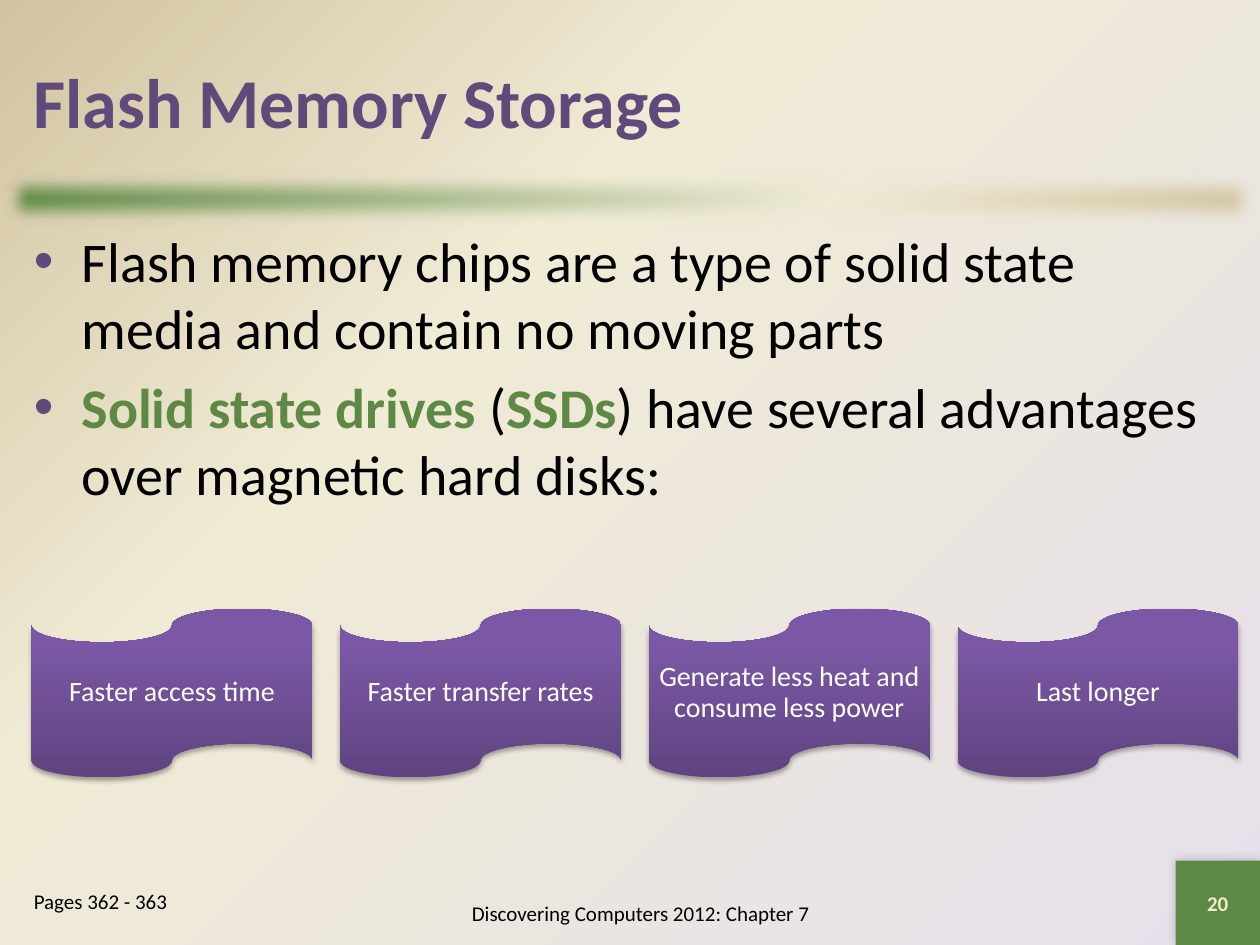
from dataclasses import dataclass

from lxml import etree
from pptx import Presentation
from pptx.dml.color import RGBColor
from pptx.enum import shapes, text
from pptx.oxml import ns
from pptx.util import Inches, Pt

FONT = "Calibri"
PURPLE = RGBColor(0x60, 0x4A, 0x7B)
GREEN = RGBColor(0x5E, 0x89, 0x45)
CREAM = RGBColor(0xF0, 0xEB, 0xD5)
TAN = RGBColor(0xD1, 0xC3, 0x9F)
LILAC = RGBColor(0xE6, 0xE0, 0xEC)
PALE = RGBColor(0xEE, 0xEB, 0xCA)
BLACK = RGBColor(0, 0, 0)
WHITE = RGBColor(0xFF, 0xFF, 0xFF)
TAPE = [(0, RGBColor(0x5F, 0x44, 0x80)), (80, RGBColor(0x7B, 0x58, 0xA6)),
        (100, RGBColor(0x7C, 0x57, 0xA8))]
LEFT, MID = text.PP_ALIGN.LEFT, text.PP_ALIGN.CENTER
TOP, CORE = text.MSO_ANCHOR.TOP, text.MSO_ANCHOR.MIDDLE


@dataclass
class Box:
    left: float
    top: float
    width: float
    height: float

    def spans(self) -> list:
        return [Inches(v) for v in (self.left, self.top, self.width, self.height)]


@dataclass
class Style:
    size: float
    color: RGBColor = BLACK
    bold: bool = False
    align: text.PP_ALIGN = LEFT
    anchor: text.MSO_ANCHOR = TOP


def child(node, tag: str, **attrs):
    return etree.SubElement(node, ns.qn(tag), {k: str(v) for k, v in attrs.items()})


def blend(root, stops: list):
    """Replace the stops of the gradient under root and return the gradient."""
    grad = root.find(".//" + ns.qn("a:gradFill"))
    items = grad.find(ns.qn("a:gsLst"))
    for old in list(items):
        items.remove(old)
    for pos, color in stops:
        child(child(items, "a:gs", pos=pos * 1000), "a:srgbClr", val=color)
    return grad


def block(slide, kind, box: Box):
    shape = slide.shapes.add_shape(kind, *box.spans())
    shape.shadow.inherit = False
    shape.line.fill.background()
    return shape


def effects(shape):
    return shape._element.spPr.find(ns.qn("a:effectLst"))


def shade(shape, alpha: int, blur: float, dist: float, turn: int) -> None:
    drop = child(effects(shape), "a:outerShdw", blurRad=Pt(blur), dist=Pt(dist),
                 dir=turn * 60000, algn="ctr", rotWithShape=0)
    child(child(drop, "a:srgbClr", val=BLACK), "a:alpha", val=alpha * 1000)


def dress(font, style: Style) -> None:
    font.name, font.size, font.bold = FONT, Pt(style.size), style.bold
    font.color.rgb = style.color


def write(shape, words: str, style: Style):
    frame = shape.text_frame
    frame.word_wrap = True
    frame.vertical_anchor = style.anchor
    frame.text = words
    para = frame.paragraphs[0]
    para.alignment = style.align
    dress(para.runs[0].font, style)
    return para


def label(slide, box: Box, words: str, style: Style) -> None:
    write(slide.shapes.add_textbox(*box.spans()), words, style)


def bullets(slide, box: Box, items: list) -> None:
    frame = slide.shapes.add_textbox(*box.spans()).text_frame
    frame.word_wrap = True
    for i, parts in enumerate(items):
        para = frame.add_paragraph() if i else frame.paragraphs[0]
        props = para._p.get_or_add_pPr()
        props.set("marL", str(Inches(0.38)))
        props.set("indent", str(Inches(-0.38)))
        child(child(props, "a:buClr"), "a:srgbClr", val=PURPLE)
        child(props, "a:buFont", typeface="Arial")
        child(props, "a:buChar", char="•")
        if i:
            para.space_before = Pt(6.4)
        for words, key in parts:
            run = para.add_run()
            run.text = words
            dress(run.font, Style(32, GREEN if key else BLACK, key))


def tape(slide, box: Box, words: str) -> None:
    shape = block(slide, shapes.MSO_SHAPE.FLOWCHART_PUNCHED_TAPE, box)
    shape.fill.gradient()
    shape.fill.gradient_angle = 90
    blend(shape._element.spPr, TAPE)
    shade(shape, 35, 3.1, 1.8, 90)
    frame = shape.text_frame
    frame.margin_left = frame.margin_right = Inches(0.07)
    frame.margin_top = frame.margin_bottom = Inches(0.07)
    para = write(shape, words, Style(16, WHITE, align=MID, anchor=CORE))
    para.line_spacing = 0.9


def main() -> None:
    deck = Presentation()
    deck.slide_width, deck.slide_height = Inches(10), Inches(7.5)
    slide = deck.slides.add_slide(deck.slide_layouts[6])

    # Background, fading out of the lower right corner
    slide.background.fill.gradient()
    grad = blend(slide._element, [(0, LILAC), (65, CREAM), (100, TAN)])
    grad.remove(grad.find(ns.qn("a:lin")))
    child(child(grad, "a:path", path="circle"), "a:fillToRect", l=100000, t=100000)

    # Soft bar under the title
    bar = block(slide, shapes.MSO_SHAPE.RECTANGLE, Box(0, 1.33, 10, 0.5))
    bar.fill.gradient()
    bar.fill.gradient_angle = 315
    blend(bar._element.spPr, [(0, GREEN), (65, CREAM), (100, TAN)])
    child(effects(bar), "a:softEdge", rad=Pt(10))

    # Title and body
    label(slide, Box(0.17, 0.17, 9.67, 1.25), "Flash Memory Storage",
          Style(40, PURPLE, True, anchor=CORE))
    bullets(slide, Box(0.17, 1.75, 9.67, 5.08), [
        [("Flash memory chips are a type of solid state media and contain "
          "no moving parts", False)],
        [("Solid state drives ", True), ("(", False), ("SSDs", True),
         (") have several advantages over magnetic hard disks:", False)],
    ])

    # Row of advantages
    gains = ["Faster access time", "Faster transfer rates",
             "Generate less heat and consume less power", "Last longer"]
    for i, gain in enumerate(gains):
        tape(slide, Box(0.25 + 2.45 * i, 4.83, 2.23, 1.34), gain)

    # Footer and page number
    label(slide, Box(3, 7, 4.17, 0.5), "Discovering Computers 2012: Chapter 7",
          Style(12, align=MID, anchor=CORE))
    label(slide, Box(0.17, 7, 1.83, 0.5), "Pages 362 - 363", Style(12))
    page = block(slide, shapes.MSO_SHAPE.RECTANGLE, Box(9.33, 6.83, 0.67, 0.67))
    page.fill.solid()
    page.fill.fore_color.rgb = GREEN
    shade(page, 20, 6, 0, 225)
    write(page, "20", Style(12, PALE, True, MID, CORE))

    deck.save("out.pptx")


if __name__ == "__main__":
    main()
